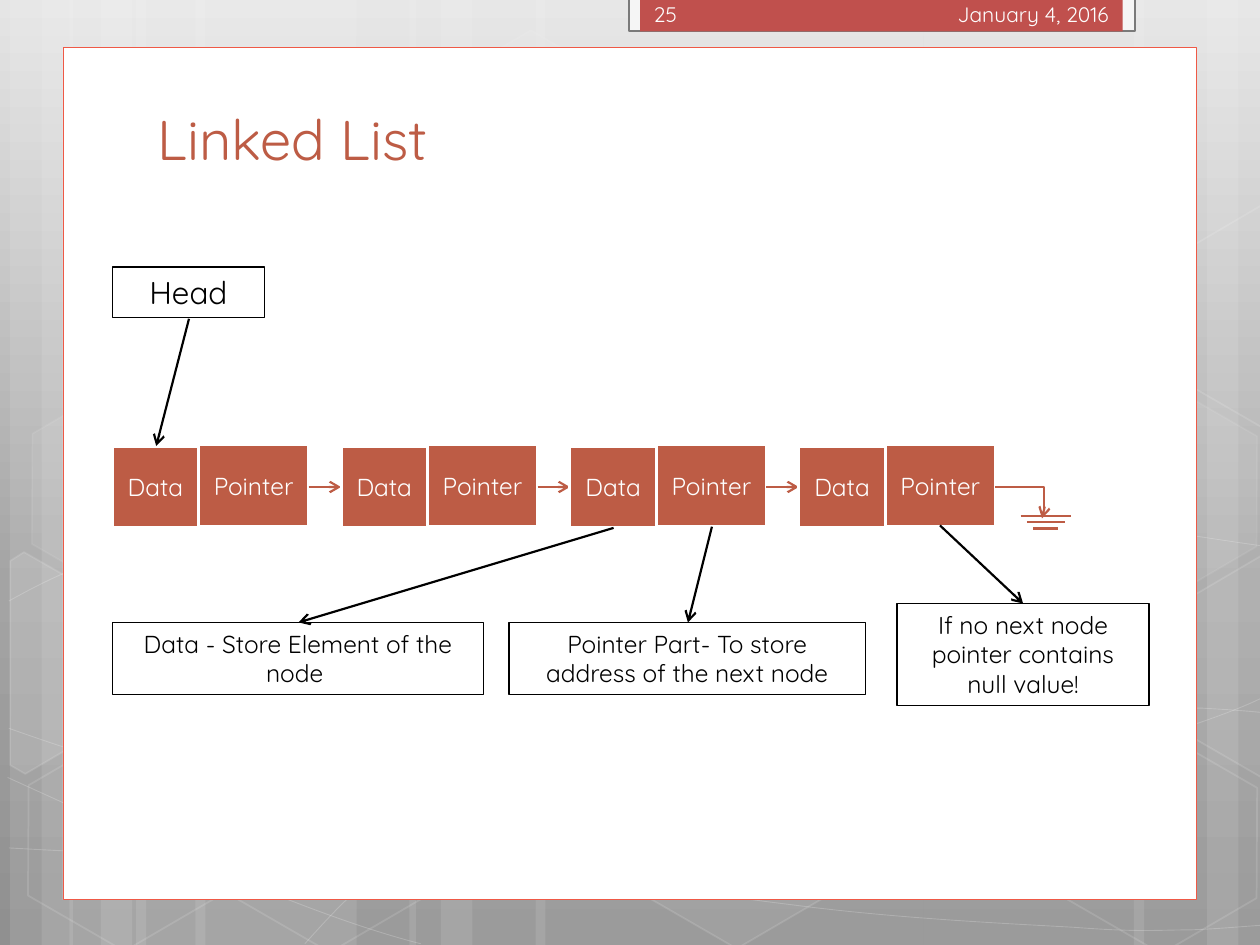
import math

from lxml import etree
from pptx import Presentation
from pptx import util as u
from pptx.dml.color import RGBColor
from pptx.enum import shapes, text
from pptx.oxml import parse_xml
from pptx.oxml.ns import qn, nsdecls

FONT, RUST, RED, WHITE, BLACK = "Quicksand", "BD5C45", "C0504D", "FFFFFF", "000000"
RECT, HEXAGON = shapes.MSO_SHAPE.RECTANGLE, shapes.MSO_SHAPE.HEXAGON
LEFT, CENTER, RIGHT = (text.PP_ALIGN.LEFT, text.PP_ALIGN.CENTER, text.PP_ALIGN.RIGHT)
TOP, MIDDLE, BOTTOM = (text.MSO_ANCHOR.TOP, text.MSO_ANCHOR.MIDDLE, text.MSO_ANCHOR.BOTTOM)

prs = Presentation()
prs.slide_width, prs.slide_height = u.Inches(10), u.Inches(7.5)
s = prs.slides.add_slide(prs.slide_layouts[5])


def color(fmt, hex_color, alpha=100):
    """Set a solid colour on a fill, with an opacity in percent."""
    fmt.solid()
    fmt.fore_color.rgb = RGBColor.from_string(hex_color)
    if alpha < 100:
        clr = fmt.fore_color._xFill.find(qn("a:srgbClr"))
        etree.SubElement(clr, qn("a:alpha")).set("val", str(alpha * 1000))


def style(sp, fill=None, line=None, width=1, fill_alpha=100, line_alpha=100):
    sp.shadow.inherit = False
    if fill:
        color(sp.fill, fill, fill_alpha)
    else:
        sp.fill.background()
    if line:
        color(sp.line.fill, line, line_alpha)
        sp.line.width = u.Pt(width)
    else:
        sp.line.fill.background()
    return sp


def shape(box, kind=RECT, **fmt):
    return style(s.shapes.add_shape(kind, *map(u.Inches, box)), **fmt)


def write(sp, words, size=14, hex_color=BLACK, align=CENTER, anchor=MIDDLE, grow=False):
    tf = sp.text_frame
    tf.word_wrap = True
    tf.auto_size = text.MSO_AUTO_SIZE.SHAPE_TO_FIT_TEXT if grow else text.MSO_AUTO_SIZE.NONE
    tf.vertical_anchor = anchor
    p = tf.paragraphs[0]
    p.alignment = align
    r = p.add_run()
    r.text = words
    r.font.name, r.font.size = FONT, u.Pt(size)
    r.font.color.rgb = RGBColor.from_string(hex_color)


def connect(start, end, hex_color=BLACK, arrow=True, kind=shapes.MSO_CONNECTOR.STRAIGHT):
    c = s.shapes.add_connector(kind, *map(u.Inches, (*start, *end)))
    color(c.line.fill, hex_color)
    c.line.width = u.Pt(1.25)
    if arrow:
        etree.SubElement(c.line._get_or_add_ln(), qn("a:tailEnd")).set("type", "arrow")
    etree.SubElement(c._element.spPr, qn("a:effectLst"))
    return c


def outline(points, close=False, **fmt):
    pts = [(u.Inches(px), u.Inches(py)) for px, py in points]
    fb = s.shapes.build_freeform(*pts[0])
    fb.add_line_segments(pts[1:], close=close)
    return style(fb.convert_to_shape(), line=WHITE, **fmt)


def curve(points, **fmt):
    """A chain of cubic curves: a start, then three points a curve."""
    sp = outline(points, **fmt)
    segments = list(sp._element.iter(qn("a:lnTo")))
    for i in range(0, len(segments), 3):
        bezier = etree.Element(qn("a:cubicBezTo"))
        segments[i].addprevious(bezier)
        for seg in segments[i:i + 3]:
            bezier.append(seg[0])
            seg.getparent().remove(seg)


def turned_outline(points, center, degrees=30, **fmt):
    """A closed outline stored upright and turned about its center."""
    cx, cy = center
    cos, sin = math.cos(math.radians(degrees)), math.sin(math.radians(degrees))
    upright = [(cx + (px - cx) * cos + (py - cy) * sin, cy - (px - cx) * sin + (py - cy) * cos)
               for px, py in points]
    outline(upright, close=True, **fmt).rotation = degrees


def backdrop(box):
    x, y, w, h = box
    # Gradient
    bg = s.background.fill
    bg.gradient()
    grad = s._element.find(".//" + qn("a:gradFill"))
    stops = "".join(f'<a:gs pos="{pos}000"><a:srgbClr val="{c}"/></a:gs>'
                    for pos, c in ((0, "E5E5E5"), (62, "A4A4A4"), (100, "909090")))
    grad.getparent().replace(grad, parse_xml(
        f'<a:gradFill {nsdecls("a")} rotWithShape="1"><a:gsLst>{stops}</a:gsLst>'
        '<a:lin ang="5400000" scaled="0"/></a:gradFill>'))
    # Vertical bands
    for left, width in ((1.08, 1.75), (0.08, 0.5), (0.33, 0.83), (1.55, 1.75), (0.55, 0.5),
                        (0.8, 0.83), (7.33, 1.75), (9.58, 0.5), (9, 0.83), (4.25, 3.08),
                        (3.25, 0.5), (3.5, 0.83)):
        shape((x + left, y, width, h), fill=WHITE, fill_alpha=10)
    # Sweeping curves
    for pts in (
        [(0.07, 6.73), (0.61, 6.76), (1.15, 6.79), (1.9, 6.78), (2.65, 6.77), (3.58, 6.75),
         (4.58, 6.65), (5.58, 6.55), (7, 6.36), (7.92, 6.17), (8.83, 5.98), (9.77, 5.68),
         (10.07, 5.51)],
        [(0.07, 4.77), (0.36, 4.61), (0.65, 4.46), (1.21, 4.31), (1.78, 4.16), (2.59, 3.94),
         (3.47, 3.87), (4.36, 3.8), (5.44, 3.79), (6.54, 3.87), (7.64, 3.95), (9.47, 4.26),
         (10.07, 4.34)],
        [(0.06, 6.17), (1.27, 6.72), (2.47, 7.27), (3.34, 7.49)],
        [(0.07, 5.78), (0.38, 5.89), (0.7, 6), (1.28, 6.16), (1.86, 6.31), (2.73, 6.56),
         (3.57, 6.73), (4.4, 6.9), (5.45, 7.08), (6.28, 7.18), (7.11, 7.29), (8, 7.33),
         (8.53, 7.36), (9.05, 7.4), (9.19, 7.38), (9.45, 7.38), (9.71, 7.37), (9.89, 7.35),
         (10.07, 7.34)],
        [(2.42, 7.49), (2.6, 7.29), (2.78, 7.09), (3.02, 6.91), (3.26, 6.73), (3.6, 6.53),
         (3.88, 6.39), (4.16, 6.25), (4.33, 6.19), (4.7, 6.09), (5.06, 5.99), (5.73, 5.85),
         (6.08, 5.78), (6.44, 5.71), (6.49, 5.71), (6.8, 5.69), (7.11, 5.66), (7.6, 5.63),
         (7.94, 5.62), (8.29, 5.61), (8.86, 5.62), (8.86, 5.62), (9.1, 5.62), (9.3, 5.62),
         (9.53, 5.62), (9.71, 5.63), (9.88, 5.64), (10.06, 5.66)],
    ):
        curve([(x + px, y + py) for px, py in pts], width=0.5, line_alpha=20)
    # Whole hexagons
    for left, top, fill_alpha, line_alpha in (
            (3.34, 0.36, 4, 8), (4.97, 5.89, 6, 12), (0.11, 5.91, 0, 12), (0.14, 3.12, 7, 8),
            (1.74, 5.92, 0, 12), (7.53, 4.53, 10, 12), (8.34, 5.93, 0, 12), (8.34, 3.14, 7, 8)):
        sp = shape((x + left, y + top, 1.75, 1.52), HEXAGON, fill=WHITE if fill_alpha else None,
                   fill_alpha=fill_alpha, line=WHITE, line_alpha=line_alpha)
        sp.adjustments[0], sp.adjustments[1] = 0.285, 1.155
        sp.rotation = 30
    # Hexagons cut by the edges
    right_cut = [(9.26, 4.85), (10.01, 4.41), (10.09, 4.46), (10.09, 6.13), (10.02, 6.17),
                 (9.26, 5.73)]
    left_cut = [(0.08, 4.45), (0.19, 4.38), (0.96, 4.82), (0.95, 5.7), (0.2, 6.14), (0.08, 6.07)]
    for pts, cx, cy, dy, fill_alpha in ((left_cut, 0.36, 5.35, 0, 10),
                                        (right_cut, 9.85, 5.2, 0, 4),
                                        (right_cut, 9.85, 5.2, -2.78, 0)):
        turned_outline([(x + px, y + py + dy) for px, py in pts], (x + cx, y + cy + dy),
                       line_alpha=12, fill=WHITE if fill_alpha else None, fill_alpha=fill_alpha)


def header_tab(box, number, date):
    x, y, w, h = box
    shape(box, fill="F5F5F5", line="7A7A7A", width=1.25)
    shape((x + 0.09, y, w - 0.19, h), fill=RED)
    for words, left, width, align in ((number, 0.1, 1.46, LEFT), (date, 1.58, 2.33, RIGHT)):
        tb = s.shapes.add_textbox(*map(u.Inches, (x + left, y, width, h)))
        write(tb, words, 12, "FEFEFE", align)


def title(box, words):
    sp = s.shapes.title
    sp.left, sp.top, sp.width, sp.height = map(u.Inches, box)
    write(sp, words, 32, RUST, LEFT, BOTTOM)
    s.shapes._spTree.append(sp._element)


def node(box):
    x, y, w, h = box
    split = 0.44 * w
    for words, left, width, rise in (("Data", 0, split, 0), ("Pointer", split, w - split, 0.01)):
        sp = shape((x + left, y - rise, width, h), fill=RUST, line=WHITE, width=1.75)
        write(sp, words, hex_color=WHITE)


def linked_list(box, count=4, node_w=1.56):
    x, y, w, h = box
    pitch, mid = (w - node_w) / (count - 1), y + h / 2
    for i in range(count):
        left = x + i * pitch
        node((left, y, node_w, h))
        if i < count - 1:
            connect((left + node_w, mid), (left + pitch, mid), RUST)
    # Null terminator
    end = x + w
    bend = connect((end, mid), (end + 0.37, mid + 0.25), RUST, kind=shapes.MSO_CONNECTOR.ELBOW)
    gd = etree.SubElement(bend._element.spPr.find(qn("a:prstGeom")).find(qn("a:avLst")), qn("a:gd"))
    gd.set("name", "adj1")
    gd.set("fmla", "val 105000")
    for i, half in enumerate((0.2, 0.15, 0.1)):
        level = mid + 0.23 + i * 0.05
        connect((end + 0.4 - half, level), (end + 0.4 + half, level), RUST, arrow=False)


def note(box, words, start, end, size=14):
    write(shape(box, line=BLACK, width=0.75), words, size, anchor=TOP, grow=True)
    connect(start, end)


backdrop((0, 0, 10, 7.5))
shape((0.5, 0.38, 9, 6.76), fill=WHITE, line="EF5946", width=0.5)
header_tab((4.99, -0.02, 4.02, 0.27), "25", "January 4, 2016")
title((1.15, 0.79, 7.86, 0.62), "Linked List")
linked_list((0.89, 3.54, 7.01, 0.65))
# Explanations with their arrows
note((0.89, 2.12, 1.21, 0.4), "Head", (1.5, 2.53), (1.24, 3.54), size=18)
note((0.89, 4.94, 2.95, 0.57), "Data - Store Element of the node ", (4.87, 4.19), (2.37, 4.94))
note((4.04, 4.94, 2.83, 0.57), "Pointer Part- To store address of the next node",
     (5.65, 4.18), (5.46, 4.94))
note((7.12, 4.79, 2, 0.81), "If no next node pointer contains null value!",
     (7.46, 4.17), (8.12, 4.79))
prs.save("out.pptx")
